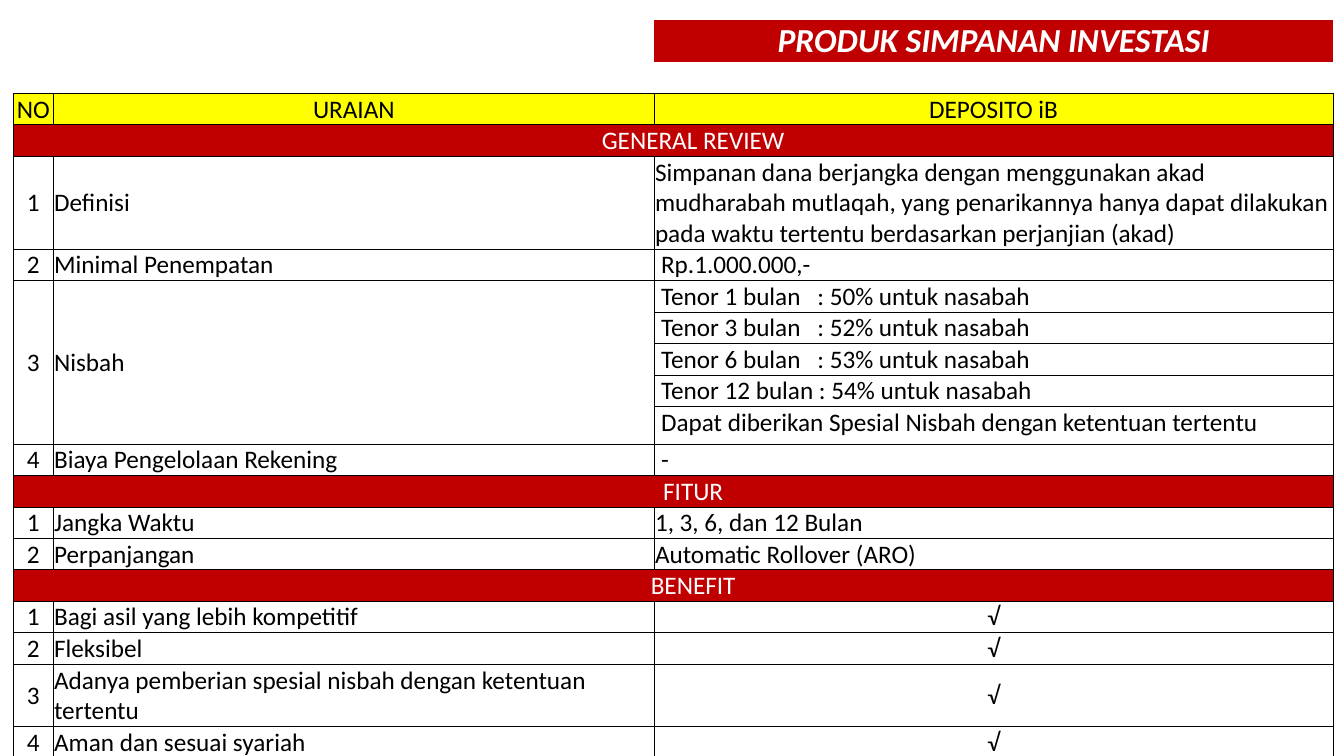
from dataclasses import dataclass

from lxml.etree import SubElement
from pptx import Presentation
from pptx.dml.color import RGBColor
from pptx.enum.text import MSO_ANCHOR, PP_ALIGN
from pptx.oxml.ns import qn
from pptx.util import Inches, Pt


@dataclass(frozen=True)
class Theme:
    """Hold the colours, type sizes, line width and cell margin of the slide."""

    red: str = "C00000"
    yellow: str = "FFFF00"
    white: str = "FFFFFF"
    black: str = "000000"
    font: str = "Calibri"
    title_size: int = 24
    text_size: int = 18
    border_width: float = 0.5
    cell_margin: float = 0.5


THEME = Theme()
LINE = 0.31
TITLE = "PRODUK SIMPANAN INVESTASI"
HEADINGS = ("NO", "URAIAN", "DEPOSITO iB")
TENORS = [
    "Tenor 1 bulan\t: 50% untuk nasabah",
    "Tenor 3 bulan\t: 52% untuk nasabah",
    "Tenor 6 bulan\t: 53% untuk nasabah",
    "Tenor 12 bulan : 54% untuk nasabah",
    "Dapat diberikan Spesial Nisbah dengan ketentuan tertentu",
]
SECTIONS = {
    "GENERAL REVIEW": [
        ("Definisi", ["Simpanan dana berjangka dengan menggunakan akad mudharabah mutlaqah, "
                      "yang penarikannya hanya dapat dilakukan pada waktu tertentu "
                      "berdasarkan perjanjian (akad)"], {}),
        ("Minimal Penempatan", ["Rp.1.000.000,-"], {"indent": 0.06}),
        ("Nisbah", TENORS, {"indent": 0.06, "anchor": MSO_ANCHOR.TOP}),
        ("Biaya Pengelolaan Rekening", ["-"], {"indent": 0.06}),
    ],
    "FITUR": [
        ("Jangka Waktu", ["1, 3, 6, dan 12 Bulan"], {}),
        ("Perpanjangan", ["Automatic Rollover (ARO)"], {}),
    ],
    "BENEFIT": [
        (benefit, ["√"], {"align": PP_ALIGN.CENTER})
        for benefit in (
            "Bagi asil yang lebih kompetitif",
            "Fleksibel",
            "Adanya pemberian spesial nisbah dengan ketentuan tertentu",
            "Aman dan sesuai syariah",
        )
    ],
}
ROW_HEIGHTS = [0.41] + [LINE] * 3 + [0.92] + [LINE] * 5 + [0.37] + [LINE] * 7 + [0.62, LINE]


def set_borders(cell, sides):
    """Draw the named sides (L, R, T, B) of a cell and hide the others."""
    properties = cell._tc.get_or_add_tcPr()
    for side in "LRTB":
        line = SubElement(properties, qn(f"a:ln{side}"), w=str(Pt(THEME.border_width)))
        if side in sides:
            fill = SubElement(line, qn("a:solidFill"))
            SubElement(fill, qn("a:srgbClr"), val=THEME.black)
        else:
            SubElement(line, qn("a:noFill"))


def add_tab_stop(paragraph, position):
    """Add one left tab stop to a paragraph."""
    tabs = SubElement(paragraph._p.get_or_add_pPr(), qn("a:tabLst"))
    SubElement(tabs, qn("a:tab"), pos=str(position), algn="l")


def format_cell(cell, text="", fill=None, sides="LRTB", color=THEME.black,
                align=PP_ALIGN.LEFT, anchor=MSO_ANCHOR.MIDDLE, indent=0, **font_values):
    """Set the borders, fill, margins and text of one cell."""
    set_borders(cell, sides)
    if fill:
        cell.fill.solid()
        cell.fill.fore_color.rgb = RGBColor.from_string(fill)
    else:
        cell.fill.background()
    margin = Pt(THEME.cell_margin)
    cell_values = {
        "margin_left": margin + Inches(indent),
        "margin_right": margin,
        "margin_top": margin,
        "margin_bottom": 0,
        "vertical_anchor": anchor,
        "text": text,
    }
    for name, value in cell_values.items():
        setattr(cell, name, value)
    paragraph = cell.text_frame.paragraphs[0]
    paragraph.alignment = align
    if "\t" in text:
        add_tab_stop(paragraph, Inches(1.55))
    values = {"name": THEME.font, "size": Pt(THEME.text_size), "bold": False, "italic": False}
    for run in paragraph.runs:
        for name, value in (values | font_values).items():
            setattr(run.font, name, value)
        run.font.color.rgb = RGBColor.from_string(color)


def fill_title(table):
    """Fill the title row, the gap below it and the column headings."""
    for column, heading in enumerate(HEADINGS):
        if column < 2:
            format_cell(table.cell(0, column), sides="")
        format_cell(table.cell(1, column), sides="B")
        format_cell(table.cell(2, column), heading, THEME.yellow, align=PP_ALIGN.CENTER)
    format_cell(table.cell(0, 2), TITLE, THEME.red, "", THEME.white, PP_ALIGN.CENTER,
                MSO_ANCHOR.BOTTOM, size=Pt(THEME.title_size), bold=True, italic=True)


def fill_band(table, row, name):
    """Fill the red band that opens a section."""
    for column, (text, sides) in enumerate((("", "LTB"), (name, "RTB"), ("", "RTB"))):
        format_cell(table.cell(row, column), text, THEME.red, sides, THEME.white,
                    PP_ALIGN.CENTER)
    table.cell(row, 1).merge(table.cell(row, 2))


def fill_item(table, row, number, description, details, detail_format):
    """Fill a numbered item, one row for each detail, and return the next row."""
    for offset, detail in enumerate(details):
        first = offset == 0
        format_cell(table.cell(row + offset, 0), str(number) if first else "",
                    align=PP_ALIGN.CENTER)
        format_cell(table.cell(row + offset, 1), description if first else "")
        format_cell(table.cell(row + offset, 2), detail, **detail_format)
    last = row + len(details) - 1
    if last > row:
        for column in range(2):
            table.cell(row, column).merge(table.cell(last, column))
    return last + 1


def add_product_table(slide, left, top, width):
    """Place the product table in the given box."""
    frame = slide.shapes.add_table(len(ROW_HEIGHTS), len(HEADINGS), Inches(left), Inches(top),
                                   Inches(width), Inches(sum(ROW_HEIGHTS)))
    table = frame.table
    table.first_row = table.horz_banding = False
    column_widths = (0.4, 5.96, width - 0.4 - 5.96)
    for column, column_width in zip(table.columns, column_widths):
        column.width = Inches(column_width)
    for table_row, height in zip(table.rows, ROW_HEIGHTS):
        table_row.height = Inches(height)
    fill_title(table)
    row = 3
    for name, items in SECTIONS.items():
        fill_band(table, row, name)
        row += 1
        for number, item in enumerate(items, 1):
            row = fill_item(table, row, number, *item)


def main():
    """Build the slide and save it."""
    presentation = Presentation()
    presentation.slide_width = Inches(13.33)
    presentation.slide_height = Inches(7.5)
    slide = presentation.slides.add_slide(presentation.slide_layouts[6])
    add_product_table(slide, 0.13, 0.2, 13.09)
    presentation.save("out.pptx")


if __name__ == "__main__":
    main()
